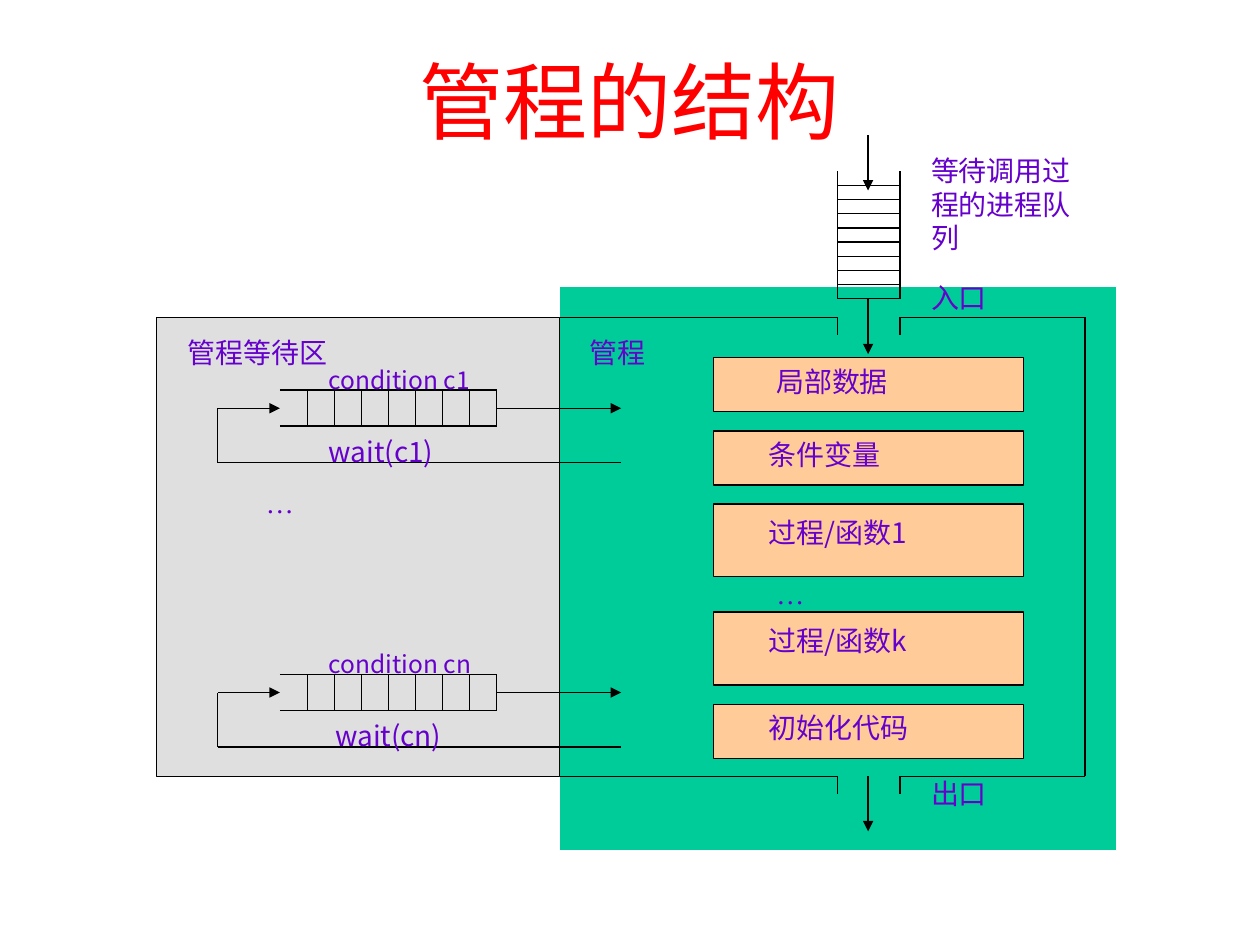
from lxml.etree import SubElement
from pptx import Presentation
from pptx.dml.color import RGBColor
from pptx.enum.shapes import MSO_CONNECTOR, MSO_SHAPE
from pptx.enum.text import MSO_ANCHOR, PP_ALIGN
from pptx.oxml.ns import qn
from pptx.util import Cm, Pt

SANS = "Noto Sans CJK JP"
SERIF = "Times New Roman"
BLACK, WHITE, RED, PURPLE = "000000", "FFFFFF", "FF0000", "6600CC"
GREEN, SILVER, PEACH = "00CC99", "C0C0C0", "FFCC99"


def color(value):
    return RGBColor.from_string(value)


class MonitorSlide:
    def __init__(self, deck):
        self.slide = deck.slides.add_slide(deck.slide_layouts[5])
        self.shapes = self.slide.shapes

    def start_group(self):
        self.shapes = self.slide.shapes.add_group_shape().shapes

    def end_group(self):
        self.shapes = self.slide.shapes

    def set_text(self, frame, text, size, ink, font_name):
        frame.word_wrap = True
        para = frame.paragraphs[0]
        para.text = text
        para.alignment = PP_ALIGN.LEFT
        para.font.size = Pt(size)
        para.font.color.rgb = color(ink)
        para.font.name = font_name
        east_asian = SubElement(para.font._element, qn("a:ea"))
        east_asian.set("typeface", font_name)
        return para

    def title(self, text):
        box = self.slide.shapes.title
        box.left, box.top, box.width, box.height = Cm(1.27), Cm(0.43), Cm(22.86), Cm(3.18)
        box.text_frame.vertical_anchor = MSO_ANCHOR.MIDDLE
        self.set_text(box.text_frame, text, 48, RED, SANS).alignment = PP_ALIGN.CENTER

    def label(self, text, left, top, width, height, size=16, font_name=SANS):
        box = self.shapes.add_textbox(Cm(left), Cm(top), Cm(width), Cm(height))
        frame = box.text_frame
        frame.margin_left = frame.margin_right = frame.margin_top = frame.margin_bottom = 0
        self.set_text(frame, text, size, PURPLE, font_name)

    def rectangle(self, left, top, width, height, fill, line=BLACK, opacity=100):
        box = self.shapes.add_shape(
            MSO_SHAPE.RECTANGLE, Cm(left), Cm(top), Cm(width), Cm(height))
        box.shadow.inherit = False
        box.fill.solid()
        box.fill.fore_color.rgb = color(fill)
        if opacity < 100:
            tint = box._element.spPr.find(qn("a:solidFill")).find(qn("a:srgbClr"))
            SubElement(tint, qn("a:alpha")).set("val", str(opacity * 1000))
        box.line.color.rgb = color(line)
        box.line.width = Pt(0.75)
        return box

    def block(self, text, top, height, indent, margin):
        frame = self.rectangle(14.38, top, 6.25, height, PEACH).text_frame
        frame.vertical_anchor = MSO_ANCHOR.TOP
        frame.margin_left = Cm(indent)
        frame.margin_top = frame.margin_bottom = Cm(margin)
        self.set_text(frame, text, 16, PURPLE, SANS)

    def line(self, x1, y1, x2, y2, arrow=False):
        connector = self.shapes.add_connector(
            MSO_CONNECTOR.STRAIGHT, Cm(x1), Cm(y1), Cm(x2), Cm(y2))
        connector.line.color.rgb = color(BLACK)
        connector.line.width = Pt(0.75)
        properties = connector._element.spPr
        if arrow:
            SubElement(properties.find(qn("a:ln")), qn("a:tailEnd")).set("type", "triangle")
        SubElement(properties, qn("a:effectLst"))

    def condition_queue(self, top, name, wait_indent):
        left, right, bottom = 5.64, 10.01, top + 0.73
        back, inside = 4.39, 12.52
        middle, wait_line = top + 0.37, top + 1.47
        self.start_group()
        for y in (top, bottom):
            self.line(left, y, right, y)
        for slot in range(8):
            x = right - slot * 0.545
            self.line(x, top, x, bottom)
        self.label(f"condition {name}", 6.63, top - 0.51, 3.18, 0.46, size=14)
        self.line(inside, wait_line, back, wait_line)
        self.line(back, wait_line, back, middle)
        self.line(back, middle, left, middle, arrow=True)
        self.line(right, middle, inside, middle, arrow=True)
        self.label(f"wait({name})", 6.63 + wait_indent, top + 0.9, 3.18, 0.46)
        self.end_group()

    def entry_queue(self, left, right):
        top, bottom = 3.45, 6.02
        self.start_group()
        for x in (left, right):
            self.line(x, top, x, bottom)
        for slot in range(9):
            y = bottom - slot * 0.285
            self.line(left, y, right, y)
        self.end_group()


def main():
    deck = Presentation()
    deck.slide_width, deck.slide_height = Cm(25.4), Cm(19.05)
    page = MonitorSlide(deck)
    page.title("管程的结构")

    wall, gate_left, gate_right, far_wall = 11.28, 16.89, 18.14, 21.87
    gate_middle = 17.5
    ceiling, floor = 6.4, 15.65
    page.rectangle(wall, 5.77, 11.23, 11.38, GREEN, line=WHITE)
    page.rectangle(3.15, ceiling, wall - 3.15, floor - ceiling, SILVER, opacity=50)

    page.condition_queue(7.86, "c1", 0)
    page.condition_queue(13.59, "cn", 0.13)

    for text, top, height, indent, margin in (
        ("局部数据", 7.21, 1.09, 1.27, 0.13),
        ("条件变量", 8.69, 1.09, 1.12, 0.13),
        ("过程/函数1", 10.16, 1.47, 1.12, 0.23),
        ("过程/函数k", 12.34, 1.47, 1.12, 0.23),
        ("初始化代码", 14.2, 1.09, 1.12, 0.13),
    ):
        page.block(text, top, height, indent, margin)

    page.entry_queue(gate_left, gate_right)
    for start, end in ((2.72, 3.84), (6.02, 7.14), (floor, 16.76)):
        page.line(gate_middle, start, gate_middle, end, arrow=True)

    for y in (ceiling, floor):
        page.line(wall, y, gate_left, y)
        page.line(gate_right, y, far_wall, y)
        for x in (gate_left, gate_right):
            page.line(x, y, x, y + 0.36)
    page.line(far_wall, ceiling, far_wall, floor)

    for text, left, top, width, height in (
        ("等待调用过程的进程队列", 18.77, 3.1, 2.84, 1.83),
        ("入口", 18.77, 5.66, 2.21, 0.74),
        ("出口", 18.77, 15.65, 2.49, 0.74),
        ("管程", 11.89, 6.76, 3.18, 0.74),
        ("管程等待区", 3.78, 6.76, 4.09, 0.74),
    ):
        page.label(text, left, top, width, height)
    for left, top, width, height in ((5.36, 9.78, 3.12, 1.83), (15.65, 11.63, 3.73, 0.74)):
        page.label("…", left, top, width, height, font_name=SERIF)

    deck.save("out.pptx")


if __name__ == "__main__":
    main()
